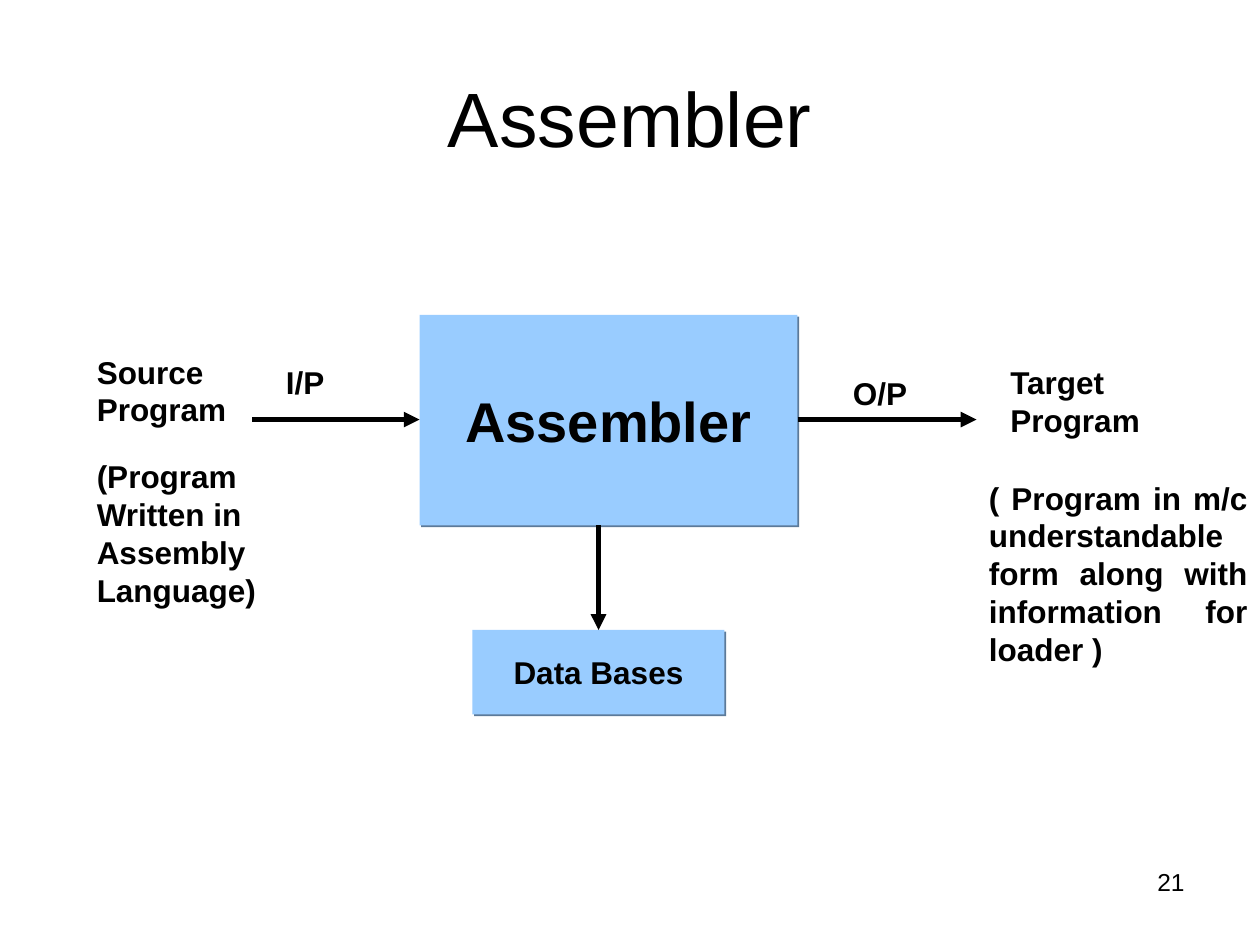
import pptx
import pptx.util
import pptx.dml.color
import pptx.enum.shapes
import pptx.enum.text
import pptx.oxml
import pptx.oxml.ns

Inches = pptx.util.Inches
ALIGN = pptx.enum.text.PP_ALIGN
ANCHOR = pptx.enum.text.MSO_ANCHOR

COLORS = {"ink": "000000", "box": "99CCFF", "shade": "5C7A99"}
TITLE = "Assembler"
BOXES = [
    ("Assembler", (3.33, 2.5, 3, 1.67), 32),
    ("Data Bases", (3.75, 5, 2, 0.67), 18),
]
LABELS = [
    ("Source Program", (0.67, 2.75, 1.33, 0.7), {}),
    ("(Program Written in Assembly Language)", (0.67, 3.58, 1.5, 1.3), {}),
    ("I/P", (2.17, 2.83, 0.92, 0.4), {}),
    ("O/P", (6.67, 2.92, 0.92, 0.4), {}),
    ("Target Program", (7.92, 2.83, 1.42, 0.7), {}),
    ("( Program in m/c understandable form along with information for loader )",
     (7.75, 3.75, 2.25, 1.6), {"align": ALIGN.JUSTIFY}),
    ("21", (7.17, 6.83, 2.33, 0.52),
     {"align": ALIGN.RIGHT, "size": 14, "bold": False}),
]
ARROWS = [
    ((2, 3.33), (3.33, 3.33)),
    ((6.33, 3.33), (7.75, 3.33)),
    ((4.75, 4.17), (4.75, 5)),
]


def color(name):
    return pptx.dml.color.RGBColor.from_string(COLORS[name])


def xml(tag, inner="", **attrs):
    pairs = "".join(f' {key}="{val}"' for key, val in attrs.items())
    space = pptx.oxml.ns.nsdecls("a")
    return pptx.oxml.parse_xml(f"<a:{tag} {space}{pairs}>{inner}</a:{tag}>")


def write(shape, text, size=18, bold=True, align=ALIGN.LEFT,
          anchor=ANCHOR.TOP, wrap=True):
    frame = shape.text_frame
    frame.word_wrap = wrap
    frame.vertical_anchor = anchor
    para = frame.paragraphs[0]
    para.alignment = align
    run = para.add_run()
    run.text = text
    font = run.font
    font.name = "Arial"
    font.size = pptx.util.Pt(size)
    font.bold = bold
    font.color.rgb = color("ink")


def add_box(slide, text, place, size):
    kind = pptx.enum.shapes.MSO_SHAPE.RECTANGLE
    box = slide.shapes.add_shape(kind, *map(Inches, place))
    box.fill.solid()
    box.fill.fore_color.rgb = color("box")
    box.line.fill.background()
    box.shadow.inherit = False
    effects = box._element.spPr.find(pptx.oxml.ns.qn("a:effectLst"))
    effects.append(xml("outerShdw", f'<a:srgbClr val="{COLORS["shade"]}"/>',
                       blurRad=0, dist=pptx.util.Pt(1.4), dir=45 * 60000,
                       algn="ctr", rotWithShape=0))
    write(box, text, size=size, align=ALIGN.CENTER, anchor=ANCHOR.MIDDLE,
          wrap=False)


def add_arrow(slide, start, end):
    kind = pptx.enum.shapes.MSO_CONNECTOR.STRAIGHT
    arrow = slide.shapes.add_connector(kind, *map(Inches, start + end))
    arrow.line.color.rgb = color("ink")
    arrow.line.width = pptx.util.Pt(3)
    arrow.line._get_or_add_ln().append(xml("tailEnd", type="triangle"))
    arrow._element.spPr.append(xml("effectLst"))


def main():
    deck = pptx.Presentation()
    deck.slide_width, deck.slide_height = Inches(10), Inches(7.5)
    slide = deck.slides.add_slide(deck.slide_layouts[5])
    title = slide.shapes.title
    title.left, title.top = Inches(0.5), Inches(0.3)
    title.width, title.height = Inches(9), Inches(1.25)
    write(title, TITLE, size=44, bold=False, align=ALIGN.CENTER,
          anchor=ANCHOR.MIDDLE)
    for text, place, size in BOXES:
        add_box(slide, text, place, size)
    for start, end in ARROWS:
        add_arrow(slide, start, end)
    for text, place, style in LABELS:
        label = slide.shapes.add_textbox(*map(Inches, place))
        write(label, text, **style)
    deck.save("out.pptx")


if __name__ == "__main__":
    main()
